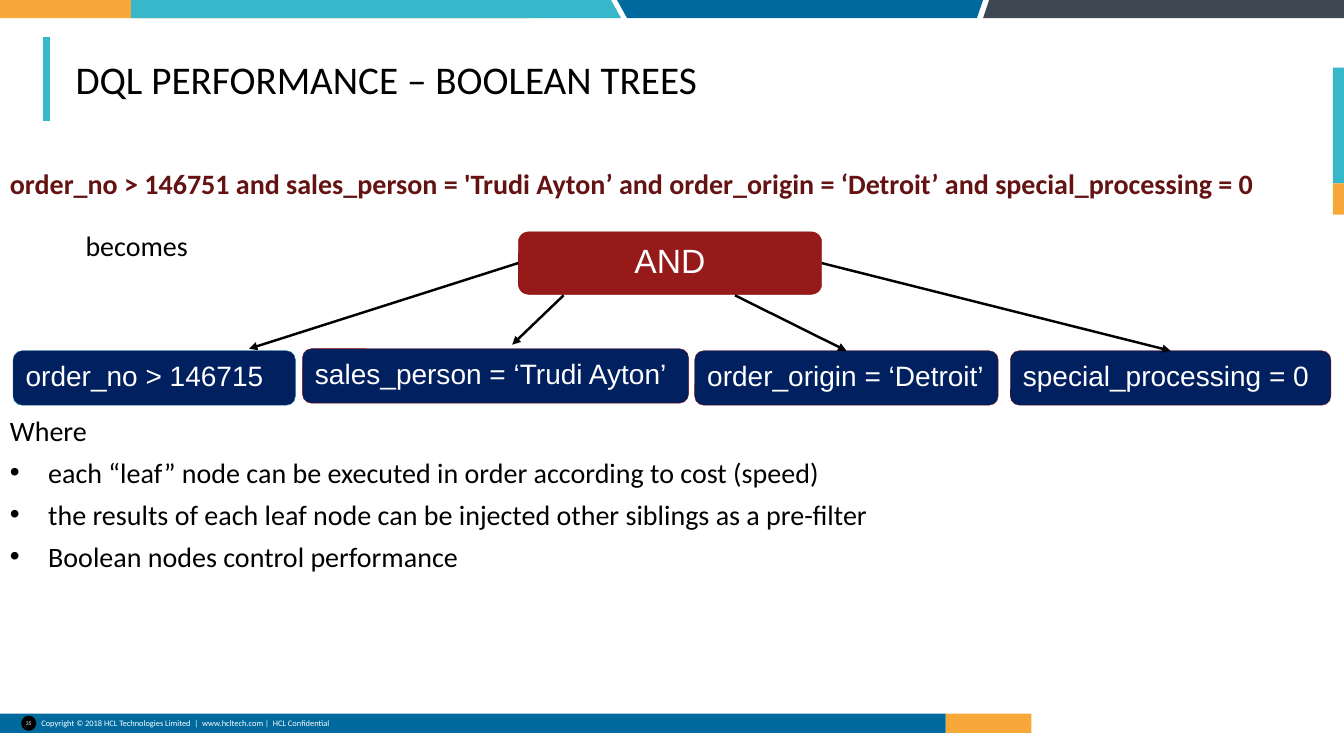
from dataclasses import dataclass

from lxml import etree
from pptx import Presentation, util as u
from pptx.dml.color import RGBColor
from pptx.enum import shapes, text
from pptx.oxml import ns


@dataclass(frozen=True)
class Theme:
    """Colours, fonts and type sizes of the slide."""
    orange: str = "F7A838"
    teal: str = "36B8CA"
    blue: str = "006A9E"
    slate: str = "3E4853"
    navy: str = "002060"
    red: str = "961A1A"
    maroon: str = "641212"
    leaf_edge: str = "087195"
    red_edge: str = "850909"
    black: str = "000000"
    white: str = "FFFFFF"
    body_font: str = "Calibri"
    tree_font: str = "Arial"
    title_size: float = 28
    root_size: float = 24
    body_size: float = 20
    footer_size: float = 6
    number_size: float = 4


THEME = Theme()
WIDTH, HEIGHT = 13.33, 7.5


def box_inches(box):
    """Turn a box of plain numbers into lengths."""
    return [u.Inches(value) for value in box]


def paint(shape, fill, edge=None):
    """Give a shape a flat fill and an optional hairline edge."""
    shape.shadow.inherit = False
    shape.fill.solid()
    shape.fill.fore_color.rgb = RGBColor.from_string(fill)
    if edge:
        shape.line.color.rgb = RGBColor.from_string(edge)
        shape.line.width = u.Pt(0.25)
    else:
        shape.line.fill.background()
    return shape


def add_block(slide, kind, box, fill, edge=None):
    """Add a painted preset shape."""
    return paint(slide.shapes.add_shape(kind, *box_inches(box)), fill, edge)


def add_line(slide, start, end, color, width, arrow=False):
    """Add a straight line, with an arrowhead at its end if asked."""
    line = slide.shapes.add_connector(
        shapes.MSO_CONNECTOR.STRAIGHT, *box_inches((*start, *end)))
    line.line.color.rgb = RGBColor.from_string(color)
    line.line.width = u.Pt(width)
    if arrow:
        etree.SubElement(line.line._get_or_add_ln(), ns.qn("a:tailEnd"), type="triangle")
    etree.SubElement(line._element.spPr, ns.qn("a:effectLst"))
    return line


def write(shape, lines, size, color, font=THEME.body_font, bold=False,
          align=text.PP_ALIGN.LEFT, inset=(0.1, 0.05), wrap=True,
          anchor=text.MSO_ANCHOR.TOP, gap=0, bulleted=False):
    """Fill a shape with formatted lines, bulleted after the first if asked."""
    frame = shape.text_frame
    across, down = box_inches(inset)
    frame_format = {"margin_left": across, "margin_right": across, "margin_top": down,
                    "margin_bottom": down, "word_wrap": wrap, "vertical_anchor": anchor}
    for key, value in frame_format.items():
        setattr(frame, key, value)
    font_format = {"name": font, "size": u.Pt(size), "bold": bold}
    for index, line in enumerate(lines):
        paragraph = frame.paragraphs[0] if index == 0 else frame.add_paragraph()
        paragraph.text = line
        paragraph.alignment = align
        if index:
            paragraph.space_before = u.Pt(gap)
            if bulleted:
                properties = paragraph._p.get_or_add_pPr()
                properties.set("marL", str(u.Inches(0.38)))
                properties.set("indent", str(u.Inches(-0.38)))
                etree.SubElement(properties, ns.qn("a:buFont"), typeface=THEME.tree_font)
                etree.SubElement(properties, ns.qn("a:buChar"), char="•")
        for run in paragraph.runs:
            for key, value in font_format.items():
                setattr(run.font, key, value)
            run.font.color.rgb = RGBColor.from_string(color)


def add_label(slide, box, lines, size, color, **options):
    """Add a text box."""
    write(slide.shapes.add_textbox(*box_inches(box)), lines, size, color, **options)


def draw_top_band(slide, box):
    """Draw the slanted colour band along the top edge."""
    left, top, width, height = box
    segments = (
        (0, 5.2, 5.3, 0, THEME.orange),
        (1.3, 6.06, 6.16, 1.3, THEME.teal),
        (6.12, 9.75, 9.69, 6.22, THEME.blue),
        (9.81, width, width, 9.75, THEME.slate),
    )
    for top_left, top_right, low_right, low_left, color in segments:
        corners = [box_inches((left + x, top + y)) for x, y in (
            (top_left, 0), (top_right, 0), (low_right, height), (low_left, height))]
        outline = slide.shapes.build_freeform(*corners[0], scale=1.0)
        outline.add_line_segments(corners[1:], close=True)
        paint(outline.convert_to_shape(), color)


def draw_side_tab(slide, box):
    """Draw the two-colour tab at the right edge."""
    left, top, width, height = box
    teal_height = 1.15
    rectangle = shapes.MSO_SHAPE.RECTANGLE
    add_block(slide, rectangle, (left, top, width, teal_height), THEME.teal)
    add_block(slide, rectangle, (left, top + teal_height, width, height - teal_height),
              THEME.orange)


def draw_footer(slide, box):
    """Draw the footer bar with page number and copyright line."""
    left, top, width, height = box
    blue_width = 9.38
    rectangle = shapes.MSO_SHAPE.RECTANGLE
    add_block(slide, rectangle, (left + blue_width, top, width - blue_width, height),
              THEME.orange)
    add_block(slide, rectangle, (left, top, blue_width, height), THEME.blue)
    add_label(slide, (left + 0.41, top, 3.31, height),
              ["Copyright © 2018 HCL Technologies Limited  |  www.hcltech.com |  HCL Confidential"],
              THEME.footer_size, THEME.white, inset=(0, 0), wrap=False,
              anchor=text.MSO_ANCHOR.MIDDLE)
    add_block(slide, shapes.MSO_SHAPE.OVAL, (left + 0.21, top + 0.02, 0.15, 0.15), THEME.black)
    add_label(slide, (left + 0.21, top + 0.06, 0.15, 0.07), ["35"], THEME.number_size,
              THEME.white, inset=(0, 0), align=text.PP_ALIGN.CENTER)


def draw_title(slide, box):
    """Draw the title and the accent rule at its left."""
    left, top, width, height = box
    add_line(slide, (left, top), (left, top + height), THEME.teal, 4.63)
    add_label(slide, (left + 0.05, top, width - 0.05, height),
              ["DQL PERFORMANCE – BOOLEAN TREES"], THEME.title_size, THEME.black,
              inset=(0.24, 0.05), anchor=text.MSO_ANCHOR.MIDDLE)


def draw_body(slide, box):
    """Write the query, its lead-in to the tree and the closing remarks."""
    left, top, width, height = box
    add_label(slide, (left, top, width, 0.44),
              ["order_no > 146751 and sales_person = 'Trudi Ayton’ and "
               "order_origin = ‘Detroit’ and special_processing = 0"],
              THEME.body_size, THEME.maroon, bold=True)
    add_label(slide, (left + 0.75, top + 0.62, 1.5, 0.44), ["becomes"],
              THEME.body_size, THEME.black)
    add_label(slide, (left, top + 2.45, width, height - 2.45),
              ["Where",
               "each “leaf” node can be executed in order according to cost (speed)",
               "the results of each leaf node can be injected other siblings as a pre-filter",
               "Boolean nodes control performance"],
              THEME.body_size, THEME.black, gap=6, bulleted=True)


def draw_tree(slide, box):
    """Draw the AND root, its four leaves and the arrows between them."""
    left, top, _, height = box
    leaf_height = 0.54
    leaf_top = top + height - leaf_height
    rounded = shapes.MSO_SHAPE.ROUNDED_RECTANGLE
    leaf_rows = (
        (0, 0, 2.8, "order_no > 146715", THEME.leaf_edge),
        (2.87, -0.02, 3.83, "sales_person = ‘Trudi Ayton’", THEME.red_edge),
        (6.76, 0, 3.01, "order_origin = ‘Detroit’", THEME.red_edge),
        (9.89, 0, 3.18, "special_processing = 0", THEME.red_edge),
    )
    leaves = []
    for x, lift, width, condition, edge in leaf_rows:
        leaf = add_block(slide, rounded, (left + x, leaf_top + lift, width, leaf_height),
                         THEME.navy, edge)
        write(leaf, [condition], THEME.body_size, THEME.white, THEME.tree_font, wrap=False)
        leaves.append(leaf)
    root = add_block(slide, rounded, (left + 5.01, top, 3.01, 0.62), THEME.red, THEME.red_edge)
    write(root, ["AND"], THEME.root_size, THEME.white, THEME.tree_font,
          align=text.PP_ALIGN.CENTER, wrap=False)
    arrow_rows = (
        ((5.01, 0.31), (2.34, 1.16), 1, None),
        ((5.46, 0.63), (4.95, 1.12), None, None),
        ((7.16, 0.63), (8.27, 1.18), None, leaves[2]),
        ((8.02, 0.31), (11.48, 1.18), 3, leaves[3]),
    )
    for (x1, y1), (x2, y2), root_side, leaf in arrow_rows:
        arrow = add_line(slide, (left + x1, top + y1), (left + x2, top + y2),
                         THEME.black, 1.75, arrow=True)
        if root_side is not None:
            arrow.begin_connect(root, root_side)
        if leaf is not None:
            arrow.end_connect(leaf, 0)


def main():
    """Build the slide and save it."""
    deck = Presentation()
    deck.slide_width, deck.slide_height = box_inches((WIDTH, HEIGHT))
    slide = deck.slides.add_slide(deck.slide_layouts[6])
    draw_footer(slide, (0, 7.08, 10.23, 0.19))
    draw_top_band(slide, (0, 0, WIDTH, 0.18))
    draw_side_tab(slide, (13.22, 0.67, 0.11, 1.46))
    draw_title(slide, (0.46, 0.37, 12.42, 0.83))
    draw_body(slide, (0, 1.6, 13.06, 5.44))
    draw_tree(slide, (0.13, 2.3, 13.07, 1.72))
    deck.save("out.pptx")


if __name__ == "__main__":
    main()
